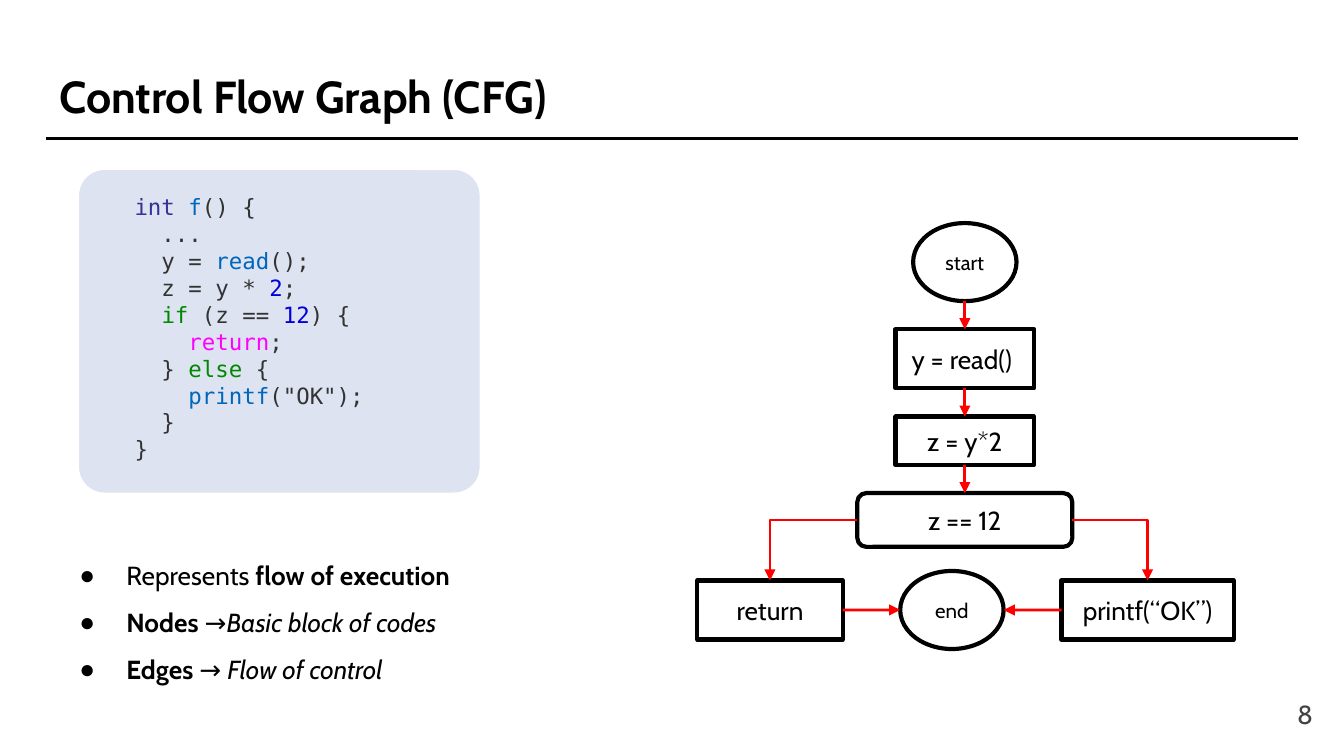
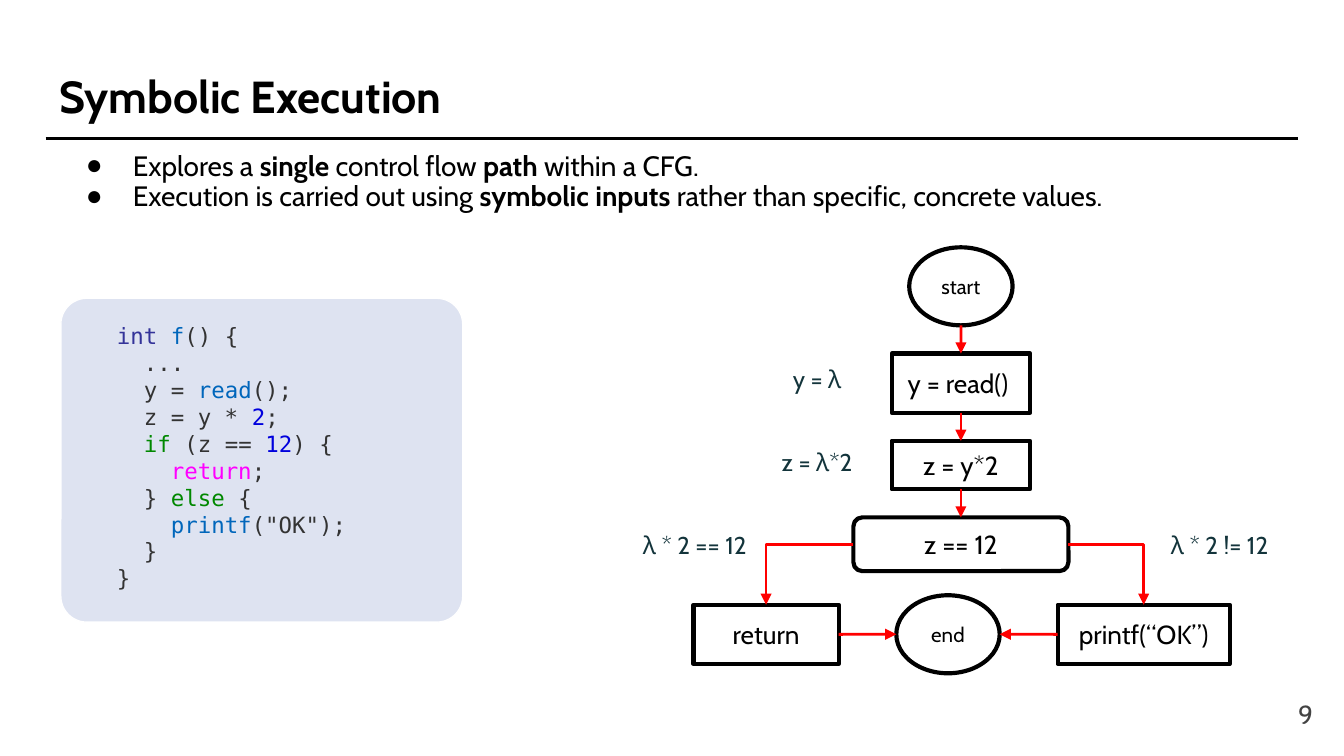
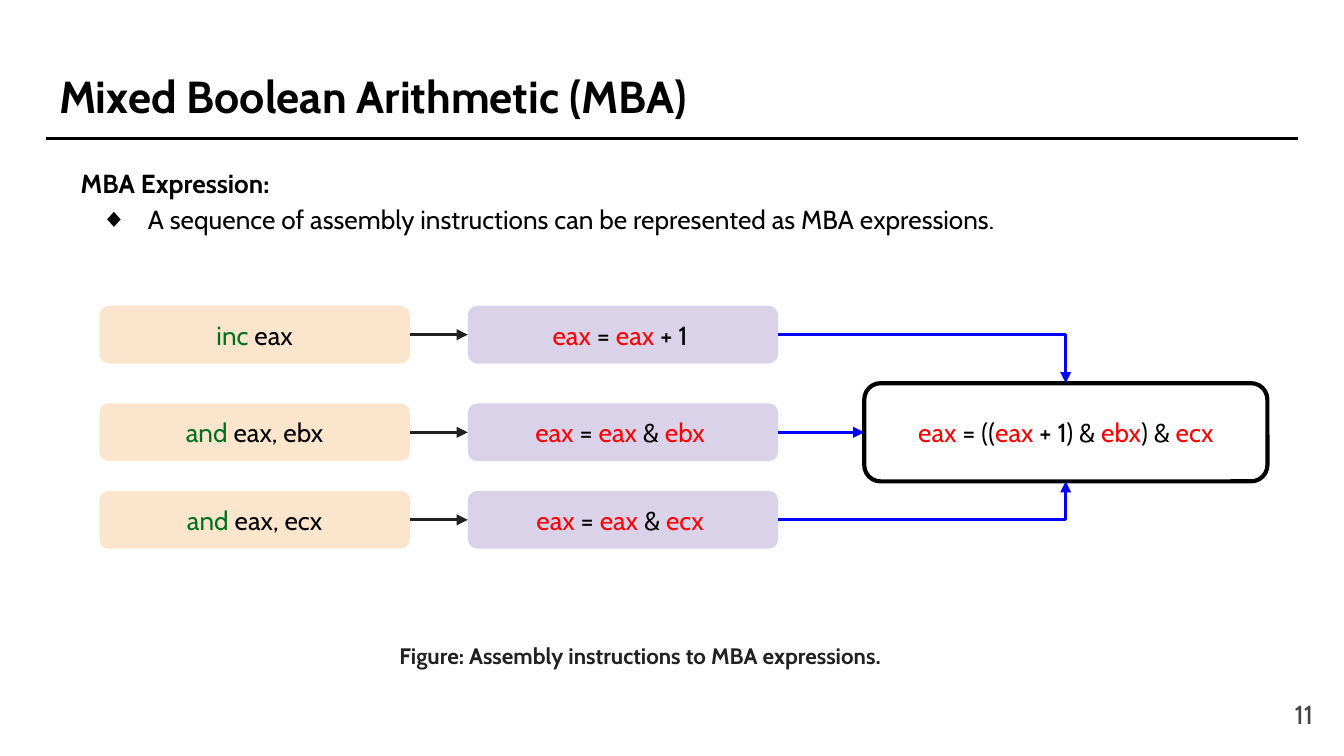
from pptx import Presentation
from pptx.dml.color import RGBColor
from pptx.enum.shapes import MSO_CONNECTOR as Connector, MSO_SHAPE as Shape
from pptx.enum.text import MSO_ANCHOR as Anchor, MSO_AUTO_SIZE as AutoSize, PP_ALIGN as Align
from pptx.oxml.ns import qn
from pptx.util import Pt
from lxml.etree import SubElement

COLOURS = {
    "black": "000000", "white": "FFFFFF", "grey": "434343", "charcoal": "212121",
    "teal": "13343B", "red": "FF0000", "blue": "0000FF", "panel": "DEE3F1",
    "peach": "FCE5CD", "lilac": "D9D2E9", "mnemonic": "007020",
    "type": "333399", "function": "0066BB", "plain": "333333",
    "number": "0000DD", "keyword": "008800", "exit": "FF00FF",
}
TEXT_FONT = "Cabin"
CODE_FONT = "DejaVu Sans Mono"

CODE = [
    [("int ", "type"), ("f", "function"), "() {"],
    ["  ..."],
    ["  y = ", ("read", "function"), "();"],
    ["  z = y * ", ("2", "number"), ";"],
    ["  ", ("if", "keyword"), " (z == ", ("12", "number"), ") {"],
    ["    ", ("return", "exit"), ";"],
    ["  } ", ("else", "keyword"), " {"],
    ["    ", ("printf", "function"), '("OK");'],
    ["  }"],
    ["}"],
]


def rgb(name):
    return RGBColor.from_string(COLOURS[name])


def set_bullet(paragraph, bullet, margin, indent):
    properties = paragraph._p.get_or_add_pPr()
    properties.set("marL", str(Pt(margin)))
    properties.set("indent", str(Pt(indent)))
    if bullet:
        colour = SubElement(properties, qn("a:buClr"))
        SubElement(colour, qn("a:srgbClr")).set("val", COLOURS["black"])
        SubElement(properties, qn("a:buChar")).set("char", bullet)
    else:
        SubElement(properties, qn("a:buNone"))


def write(shape, lines, size=14, colour="black", font=TEXT_FONT, bold=False, align=Align.LEFT,
          anchor=Anchor.MIDDLE, spacing=1.0, bullet=None, margin=0, indent=0):
    """Append lines to a shape; a run is a string or (string, colour, "bold" or "italic")."""
    frame = shape.text_frame
    frame.word_wrap = True
    frame.auto_size = AutoSize.NONE
    frame.vertical_anchor = anchor
    frame.margin_left = frame.margin_right = frame.margin_top = frame.margin_bottom = Pt(7.2)
    for runs in lines:
        paragraph = frame.paragraphs[-1]
        if paragraph.runs:
            paragraph = frame.add_paragraph()
        set_bullet(paragraph, bullet, margin, indent)
        paragraph.alignment = align
        paragraph.line_spacing = spacing
        paragraph.space_before = paragraph.space_after = Pt(0)
        for part in runs:
            text, *styles = (part,) if isinstance(part, str) else part
            run = paragraph.add_run()
            run.text = text
            run.font.name = font
            run.font.size = Pt(size)
            run.font.bold = bold or "bold" in styles
            run.font.italic = "italic" in styles
            tint = next((style for style in styles if style in COLOURS), colour)
            run.font.color.rgb = rgb(tint)


def place(shape, left, top, width, height):
    shape.left, shape.top, shape.width, shape.height = map(Pt, (left, top, width, height))
    return shape


def add_label(shapes, lines, left, top, width, height, **text_format):
    box = shapes.add_textbox(*map(Pt, (left, top, width, height)))
    write(box, lines, **text_format)


def add_box(shapes, kind, left, top, width, height, fill=None, line=None, line_width=2.25):
    shape = shapes.add_shape(kind, *map(Pt, (left, top, width, height)))
    shape.shadow.inherit = False
    if fill:
        shape.fill.solid()
        shape.fill.fore_color.rgb = rgb(fill)
    else:
        shape.fill.background()
    if line:
        shape.line.color.rgb = rgb(line)
        shape.line.width = Pt(line_width)
    else:
        shape.line.fill.background()
    return shape


def add_node(shapes, kind, runs, *box, size=14, **look):
    shape = add_box(shapes, kind, *box, **look)
    write(shape, [runs], size=size, align=Align.CENTER)
    return shape


def side(shape, name):
    """Return the middle of the named side of a shape."""
    x = {"left": 0, "right": shape.width}.get(name, shape.width // 2)
    y = {"top": 0, "bottom": shape.height}.get(name, shape.height // 2)
    return shape.left + x, shape.top + y


def add_line(shapes, begin, end, colour, bent=False, arrow=True):
    """Draw a line; a bent one leaves sideways and arrives vertically."""
    kind = Connector.ELBOW if bent else Connector.STRAIGHT
    connector = shapes.add_connector(kind, *begin, *end)
    properties = connector._element.spPr
    if bent:
        properties.find(qn("a:prstGeom")).set("prst", "bentConnector2")
    connector.line.color.rgb = rgb(colour)
    connector.line.width = Pt(1.5)
    if arrow:
        SubElement(properties.find(qn("a:ln")), qn("a:tailEnd")).set("type", "triangle")
    SubElement(properties, qn("a:effectLst"))


def start_slide(presentation, title, number):
    slide = presentation.slides.add_slide(presentation.slide_layouts[1])
    write(place(slide.shapes.title, 24.5, 29.5, 671, 45.4), [[title]],
          size=24, bold=True, anchor=Anchor.TOP)
    add_line(slide.shapes, (Pt(24.5), Pt(74.2)), (Pt(695.5), Pt(74.2)), "black", arrow=False)
    add_label(slide.shapes, [[str(number)]], 667.4, 367.2, 43.2, 31,
              colour="grey", align=Align.RIGHT)
    return slide


def add_code_panel(slide, left, top):
    shapes = slide.shapes.add_group_shape().shapes
    panel = add_box(shapes, Shape.ROUNDED_RECTANGLE, left, top, 215.3, 173.5,
                    fill="panel", line="white", line_width=0.75)
    panel.adjustments[0] = 0.08
    add_label(shapes, CODE, left + 23, top + 5.8, 169.2, 161.3, size=12,
              colour="plain", font=CODE_FONT, anchor=Anchor.TOP)


def add_flow_graph(slide, left, top):
    shapes = slide.shapes.add_group_shape().shapes
    axis, gap = left + 143.3, 15.1
    steps = [
        (Shape.OVAL, "start", 55.4, 41.8, 11),
        (Shape.RECTANGLE, "y = read() ", 74.2, 31.7, 14),
        (Shape.RECTANGLE, "z = y*2", 74.2, 25.9, 14),
        (Shape.ROUNDED_RECTANGLE, "z == 12", 115.2, 28.8, 14),
    ]
    step_top, previous = top, None
    for kind, text, width, height, size in steps:
        node = add_node(shapes, kind, [text], axis - width / 2, step_top, width, height,
                        size=size, line="black")
        if previous:
            add_line(shapes, side(previous, "bottom"), side(node, "top"), "red")
        previous = node
        step_top += height + gap

    end = add_node(shapes, Shape.OVAL, ["end"], left + 108.7, top + 186.4, 55.4, 41.8,
                   size=11, line="black")
    branches = [("return", 0, 77.8, "left", "right"), ("printf(“OK”)", 195.1, 92.2, "right", "left")]
    for text, offset, width, outer, inner in branches:
        branch = add_node(shapes, Shape.RECTANGLE, [text], left + offset, top + 191.5,
                          width, 31.7, line="black")
        add_line(shapes, side(previous, outer), side(branch, "top"), "red", bent=True)
        add_line(shapes, side(branch, inner), side(end, outer), "red")


def build_control_flow(presentation):
    slide = start_slide(presentation, "Control Flow Graph (CFG)", 8)
    write(place(slide.placeholders[1], 24.5, 273.6, 283, 110.9), [
        ["Represents ", ("flow of execution", "bold")],
        [("Nodes ", "bold"), "→", ("Basic block of codes", "italic")],
        [("Edges ", "bold"), "→ ", ("Flow of control", "italic")],
    ], spacing=1.5, bullet="●", margin=36, indent=-25.2)
    add_flow_graph(slide, 373.6, 119.5)
    add_code_panel(slide, 42, 90.7)


def build_symbolic_execution(presentation):
    slide = start_slide(presentation, "Symbolic Execution", 9)
    write(place(slide.placeholders[1], 28, 74.2, 647.3, 48.2), [
        ["Explores a ", ("single", "bold"), " control flow ", ("path", "bold"), " within a CFG."],
        ["Execution is carried out using ", ("symbolic inputs", "bold"),
         " rather than specific, concrete values."],
    ], size=15, spacing=0.9, anchor=Anchor.TOP, bullet="●", margin=36, indent=-25.2)
    add_code_panel(slide, 32.6, 159.8)
    add_flow_graph(slide, 371.5, 132.5)
    states = [
        ("y = λ", 411.1, 189.4, 53.3),
        ("z = λ*2", 397.4, 234, 80.6),
        ("λ * 2 == 12", 321.8, 278.6, 100.8),
        ("λ * 2 != 12", 607.7, 278.6, 91.4),
    ]
    for text, left, top, width in states:
        add_label(slide.shapes, [[text]], left, top, width, 26.6,
                  size=13, colour="teal", align=Align.CENTER)


def add_instruction_chart(slide, left, top):
    shapes = slide.shapes
    width, height = 166.3, 31
    eax, ebx, ecx = (("eax", "red"), ("ebx", "red"), ("ecx", "red"))
    rows = [
        (0, "inc", " eax", [eax, " = ", eax, " + 1 "], "top"),
        (52.3, "and", " eax, ebx", [eax, " = ", eax, " & ", ("ebx ", "red")], "left"),
        (99.2, "and", " eax, ecx", [eax, " = ", eax, " & ", ("ecx ", "red")], "bottom"),
    ]
    result = add_node(shapes, Shape.ROUNDED_RECTANGLE,
                      [eax, " = ((", eax, " + 1) & ", ebx, ") & ", ecx],
                      left + 409.7, top + 41.5, 216, 52.6, line="black")
    for offset, mnemonic, operands, expression, target in rows:
        instruction = add_node(shapes, Shape.ROUNDED_RECTANGLE,
                               [(mnemonic, "mnemonic"), operands],
                               left, top + offset, width, height, fill="peach")
        formula = add_node(shapes, Shape.ROUNDED_RECTANGLE, expression,
                           left + 197.3, top + offset, width, height, fill="lilac")
        add_line(shapes, side(instruction, "right"), side(formula, "left"), "charcoal")
        add_line(shapes, side(formula, "right"), side(result, target), "blue",
                 bent=target != "left")


def build_mixed_arithmetic(presentation):
    slide = start_slide(presentation, "Mixed Boolean Arithmetic (MBA)", 11)
    body = place(slide.placeholders[1], 0, 74.2, 667.4, 71.3)
    write(body, [["MBA Expression:"]], bold=True, spacing=1.5, anchor=Anchor.TOP, margin=36)
    write(body, [["A sequence of assembly instructions can be represented as MBA expressions."]],
          spacing=1.15, anchor=Anchor.TOP, bullet="◆", margin=72, indent=-25.2)
    add_instruction_chart(slide, 53.3, 163.8)
    add_label(slide.shapes, [["Figure: Assembly instructions to MBA expressions."]],
              181.4, 328.3, 323.3, 45.4, size=12, colour="charcoal", bold=True,
              align=Align.CENTER)


def main():
    presentation = Presentation()
    presentation.slide_width, presentation.slide_height = Pt(720), Pt(405)
    build_control_flow(presentation)
    build_symbolic_execution(presentation)
    build_mixed_arithmetic(presentation)
    presentation.save("out.pptx")


if __name__ == "__main__":
    main()
